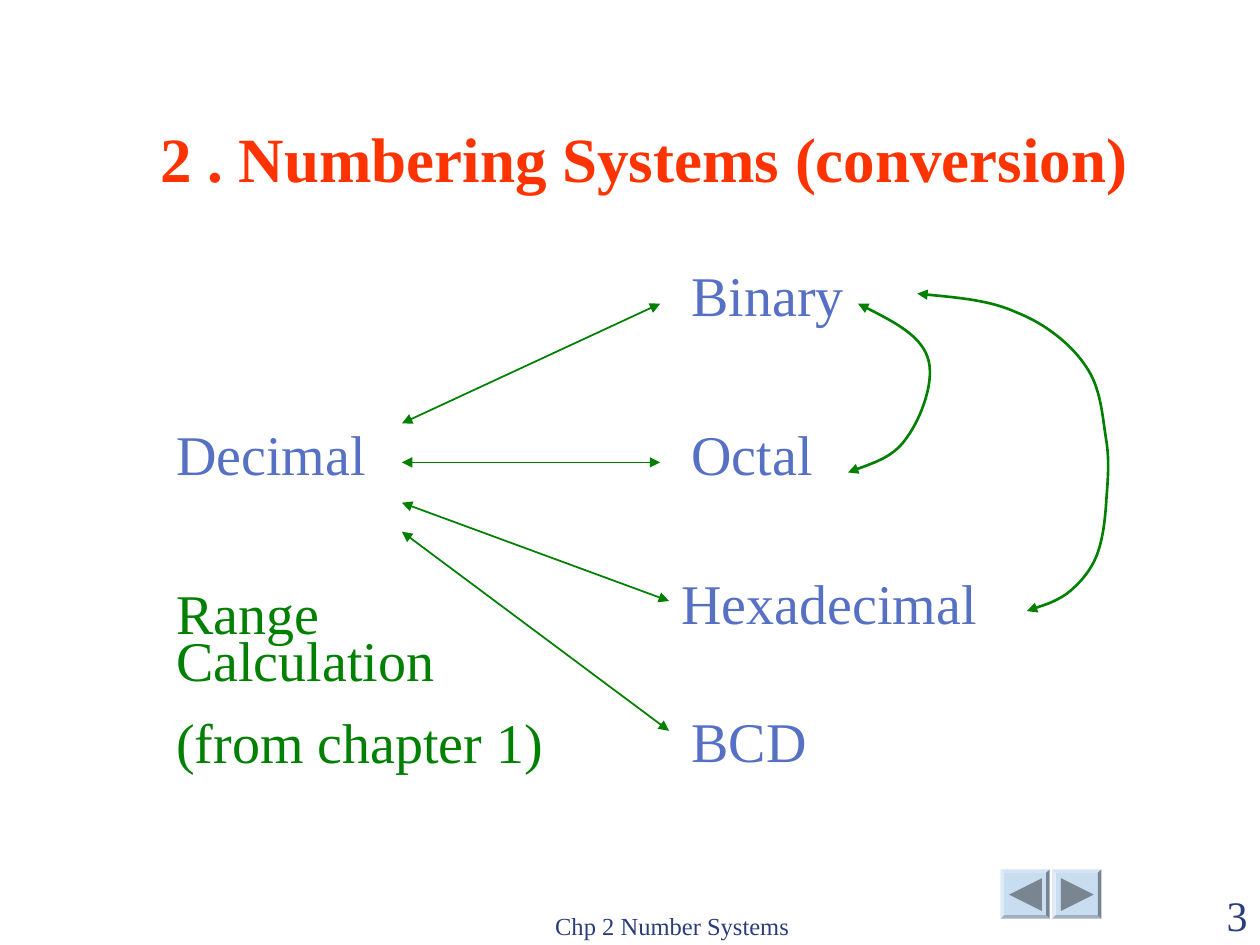
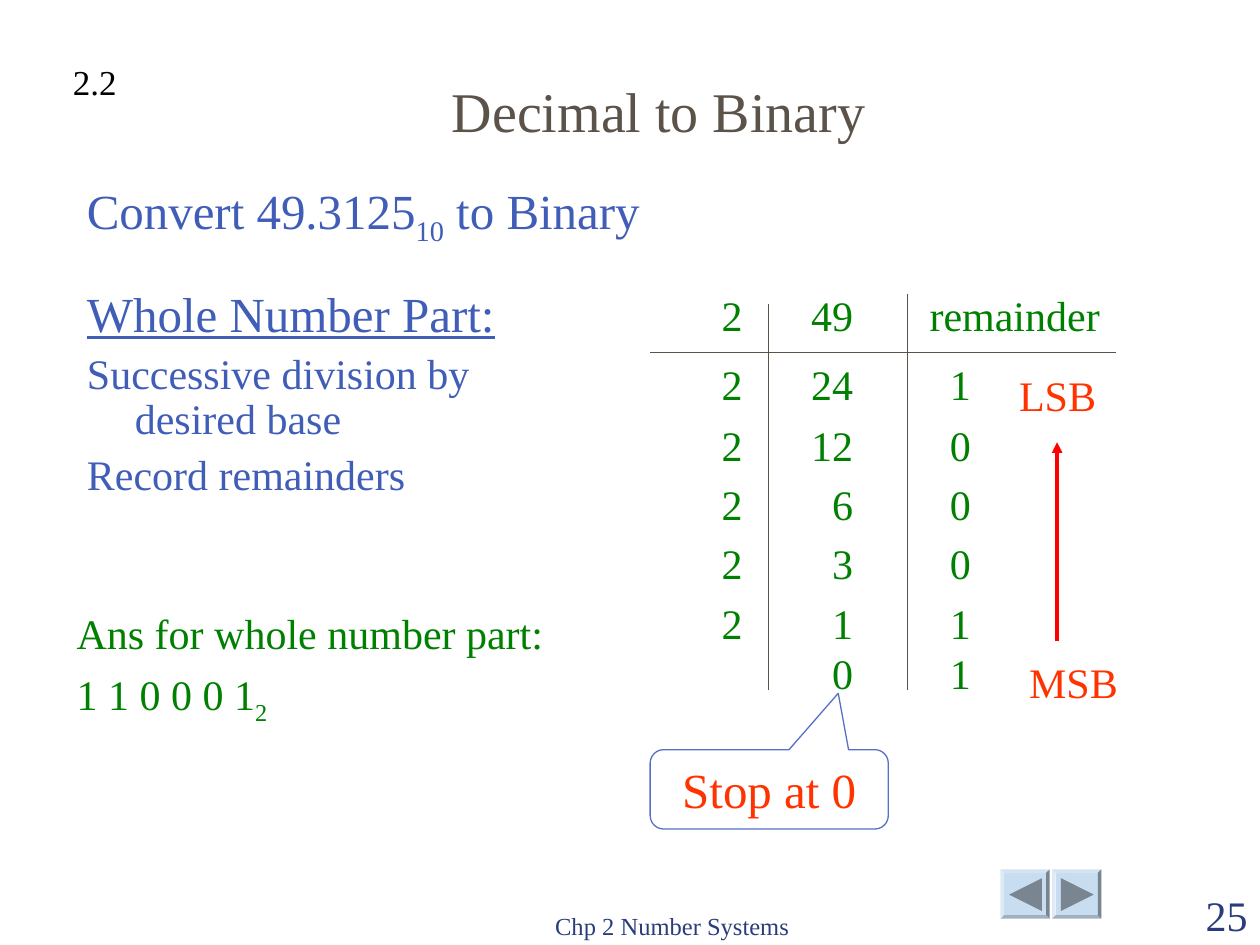
from lxml import etree
from pptx import Presentation
from pptx.dml.color import RGBColor
from pptx.enum.shapes import MSO_CONNECTOR, MSO_SHAPE
from pptx.enum.text import MSO_ANCHOR, MSO_AUTO_SIZE, PP_ALIGN
from pptx.oxml.ns import qn
from pptx.util import Inches, Pt

LEFT, CENTER, RIGHT = PP_ALIGN.LEFT, PP_ALIGN.CENTER, PP_ALIGN.RIGHT
TOP, BOTTOM = MSO_ANCHOR.TOP, MSO_ANCHOR.BOTTOM
STRAIGHT = MSO_CONNECTOR.STRAIGHT

FONT = "Times New Roman"
ORANGE = RGBColor(0xFF, 0x33, 0x00)
RED = RGBColor(0xFF, 0x00, 0x00)
GREEN = RGBColor(0x00, 0x80, 0x00)
BLUE = RGBColor(0x56, 0x70, 0xC4)
DEEP_BLUE = RGBColor(0x40, 0x5D, 0xB8)
NAVY = RGBColor(0x2A, 0x3D, 0x7A)
BROWN = RGBColor(0x5B, 0x52, 0x49)
BLACK = RGBColor(0x00, 0x00, 0x00)
BUTTON = RGBColor(0xC9, 0xDD, 0xF1)
BUTTON_ICON = RGBColor(0x79, 0x85, 0x91)

# Shared content: footer and navigation buttons (left edge, icon rotation)
FOOTER = "Chp 2 Number Systems"
BUTTONS = [(7.94, 270), (8.35, 90)]
BUTTON_TOP, BUTTON_SIZE, ICON_INSET, ICON_SIZE = 6.9, 0.39, 0.07, 0.26

# Slide 1 content: systems, two-way arrows and curves (start, then control points)
SYSTEMS = [
    ("Decimal", (1.3, 3.28, 1.73, 0.64)),
    ("Binary", (5.39, 2.02, 1.73, 0.64)),
    ("Octal", (5.39, 3.28, 1.42, 0.64)),
    ("Hexadecimal", (5.31, 4.46, 2.68, 0.64)),
    ("BCD", (5.39, 5.56, 1.26, 0.64)),
]
RANGE_NOTE = ["Range Calculation", "(from chapter 1)"]
CONVERSIONS = [
    ((3.19, 3.36), (5.24, 2.41)),
    ((3.19, 3.67), (5.24, 3.67)),
    ((3.19, 3.99), (5.31, 4.77)),
    ((3.19, 4.22), (5.31, 5.8)),
]
BINARY_OCTAL = [
    (6.81, 2.41), (7.05, 2.53), (7.3, 2.66), (7.36, 2.83), (7.43, 3.01),
    (7.31, 3.32), (7.2, 3.47), (7.1, 3.62), (6.92, 3.68), (6.73, 3.75),
]
BINARY_HEX = [
    (7.28, 2.33), (7.56, 2.36), (7.85, 2.38), (8.07, 2.48), (8.3, 2.57),
    (8.51, 2.74), (8.62, 2.91), (8.74, 3.08), (8.75, 3.31), (8.78, 3.49),
    (8.81, 3.67), (8.79, 3.83), (8.78, 3.99), (8.77, 4.14), (8.75, 4.3),
    (8.7, 4.42), (8.65, 4.54), (8.56, 4.64), (8.47, 4.71), (8.37, 4.78),
    (8.2, 4.83), (8.15, 4.85),
]

# Slide 2 content: paragraphs are a string or (text, subscript?) runs
STEPS = [
    ("Whole Number Part:", {"size": Pt(28), "underline": True}),
    ("Successive division by desired base", {"size": Pt(24)}),
    ("Record remainders", {"size": Pt(24)}),
]
TASK = [[("Convert 49.3125", False), ("10", True), (" to Binary", False)]]
ANSWER = ["Ans for whole number part:", [("1 1 0 0 0 1", False), ("2", True)]]
DIVISION = [  # top, divisor, quotient, remainder
    (2.25, "2", "49", ""),
    (2.8, "2", "24", "1"),
    (3.28, "2", "12", "0"),
    (3.75, "2", "6", "0"),
    (4.22, "2", "3", "0"),
    (4.69, "2", "1", "1"),
    (5.09, "", "0", "1"),
]
COLUMNS = [(5.63, 0.36, LEFT), (6.24, 0.63, RIGHT), (7.44, 0.36, LEFT)]
RULES = [
    ((5.16, 2.8), (8.86, 2.8)),
    ((6.1, 2.41), (6.1, 5.48)),
    ((7.2, 2.33), (7.2, 5.48)),
]


def inches(values):
    return [Inches(v) for v in values]


def put(obj, **values):
    for name, value in values.items():
        setattr(obj, name, value)


def style(font, size, color, **more):
    put(font, name=FONT, size=Pt(size), **more)
    font.color.rgb = color


def place(sp, box):
    put(sp, **dict(zip(("left", "top", "width", "height"), inches(box))))


def write(tf, paragraphs, size, color, align=LEFT, before=0, spacing=None):
    for i, runs in enumerate(paragraphs):
        p = tf.add_paragraph() if i else tf.paragraphs[0]
        put(p, alignment=align, line_spacing=spacing)
        if i:
            p.space_before = Pt(before)
        for text, subscript in [(runs, False)] if isinstance(runs, str) else runs:
            r = p.add_run()
            r.text = text
            style(r.font, size, color)
            if subscript:
                r.font._element.set("baseline", "-25000")


def add_text(s, box, paragraphs, size, color, anchor=TOP, wrap=True, **layout):
    tf = s.shapes.add_textbox(*inches(box)).text_frame
    put(tf, word_wrap=wrap, vertical_anchor=anchor)
    write(tf, paragraphs, size, color, **layout)


def add_ends(line, head, tail):
    ln = line._get_or_add_ln()
    for tag, shown in (("a:headEnd", head), ("a:tailEnd", tail)):
        if shown:
            etree.SubElement(ln, qn(tag)).set("type", "triangle")


def add_line(s, start, end, color, width, head=False, tail=False):
    cn = s.shapes.add_connector(STRAIGHT, *inches(start + end))
    cn.line.color.rgb = color
    cn.line.width = Pt(width)
    add_ends(cn.line, head, tail)
    etree.SubElement(cn._element.spPr, qn("a:effectLst"))


def add_curve(s, points):
    start, *rest = [inches(pt) for pt in points]
    fb = s.shapes.build_freeform(*start)
    fb.add_line_segments(rest, close=False)
    sp = fb.convert_to_shape()
    sp.shadow.inherit = False
    sp.fill.background()
    sp.line.color.rgb = GREEN
    sp.line.width = Pt(1.5)
    add_ends(sp.line, True, True)
    # Each three segments become one cubic curve
    outline = sp._element.spPr.find(".//" + qn("a:path"))
    segments = outline.findall(qn("a:lnTo"))
    for i in range(0, len(segments), 3):
        cubic = etree.SubElement(outline, qn("a:cubicBezTo"))
        for segment in segments[i:i + 3]:
            cubic.append(segment[0])
            outline.remove(segment)


def add_solid(s, kind, box, color):
    sp = s.shapes.add_shape(kind, *inches(box))
    sp.shadow.inherit = False
    sp.fill.solid()
    sp.fill.fore_color.rgb = color
    sp.line.fill.background()
    return sp


def add_slide(prs, layout, number, title, box, size, color, **title_format):
    s = prs.slides.add_slide(prs.slide_layouts[layout])
    for left, rotation in BUTTONS:
        bevel = add_solid(s, MSO_SHAPE.BEVEL,
                          (left, BUTTON_TOP, BUTTON_SIZE, BUTTON_SIZE), BUTTON)
        bevel.adjustments[0] = 0.07
        icon = add_solid(s, MSO_SHAPE.ISOSCELES_TRIANGLE,
                         (left + ICON_INSET, BUTTON_TOP + ICON_INSET,
                          ICON_SIZE, ICON_SIZE), BUTTON_ICON)
        icon.rotation = rotation
    add_text(s, (3.75, 7.01, 3.17, 0.5), [FOOTER], 14, NAVY, BOTTOM, align=CENTER)
    add_text(s, (9, 7.01, 1, 0.5), [number], 24, NAVY, BOTTOM, align=RIGHT)

    place(s.shapes.title, box)
    tf = s.shapes.title.text_frame
    put(tf, vertical_anchor=BOTTOM, auto_size=MSO_AUTO_SIZE.NONE)
    align = title_format.pop("align", LEFT)
    put(tf, **{k: title_format.pop(k) for k in ("margin_bottom",) if k in title_format})
    write(tf, [title], size, color, align)
    put(tf.paragraphs[0].runs[0].font, **title_format)
    return s


def build_conversion(prs):
    s = add_slide(prs, 5, "3", "2 . Numbering Systems (conversion)",
                  (1.17, 0.92, 8.5, 1.25), 36, ORANGE,
                  bold=True, margin_bottom=Inches(0.62))
    for name, box in SYSTEMS:
        add_text(s, box, [name], 32, BLUE)
    for start, end in CONVERSIONS:
        add_line(s, start, end, GREEN, 1, head=True, tail=True)
    for curve in (BINARY_OCTAL, BINARY_HEX):
        add_curve(s, curve)
    add_text(s, (1.3, 4.69, 3.15, 1.5), RANGE_NOTE, 32, GREEN,
             before=20, spacing=0.7)


def build_division(prs):
    s = add_slide(prs, 1, "25", "Decimal to Binary",
                  (0.98, 0.52, 8.5, 0.67), 32, BROWN, align=CENTER)

    # Method steps in the body placeholder, with hanging indents
    body = s.placeholders[1]
    place(body, (0.59, 2.25, 4.17, 1.89))
    tf = body.text_frame
    tf.auto_size = MSO_AUTO_SIZE.NONE
    write(tf, [text for text, _ in STEPS], 24, DEEP_BLUE, before=6, spacing=0.9)
    tf.paragraphs[0].space_before = Pt(0)
    for p, (_, font_format) in zip(tf.paragraphs, STEPS):
        pPr = p._p.get_or_add_pPr()
        pPr.set("marL", str(Inches(0.38)))
        pPr.set("indent", str(-Inches(0.38)))
        etree.SubElement(pPr, qn("a:buNone"))
        put(p.runs[0].font, **font_format)

    add_text(s, (0.48, 0.43, 0.55, 0.44), ["2.2"], 20, BLACK, wrap=False)
    add_text(s, (0.59, 1.39, 5.51, 0.67), TASK, 28, DEEP_BLUE, spacing=0.9)
    add_text(s, (0.51, 4.82, 3.9, 0.96), ANSWER, 24, GREEN, wrap=False,
             before=6, spacing=0.9)

    # Division ladder
    for start, end in RULES:
        add_line(s, start, end, BROWN, 0.75)
    for top, *cells in DIVISION:
        for text, (left, width, align) in zip(cells, COLUMNS):
            if text:
                add_text(s, (left, top, width, 0.5), [text], 24, GREEN,
                         wrap=align == RIGHT, align=align)
    add_text(s, (7.28, 2.25, 1.55, 0.5), ["remainder"], 24, GREEN, wrap=False)

    # Reading order of the remainders
    add_text(s, (7.99, 2.88, 0.87, 0.5), ["LSB"], 24, ORANGE)
    add_text(s, (8.07, 5.16, 1.1, 0.5), ["MSB"], 24, ORANGE)
    add_line(s, (8.39, 5.09), (8.39, 3.51), RED, 2, tail=True)

    # Callout
    sp = s.shapes.add_shape(MSO_SHAPE.ROUNDED_RECTANGULAR_CALLOUT,
                            *inches((5.16, 5.95, 1.89, 0.63)))
    sp.shadow.inherit = False
    sp.fill.background()
    sp.line.color.rgb = BLUE
    sp.line.width = Pt(0.75)
    for i, value in enumerate((0.29, -1.21, 0.17)):
        sp.adjustments[i] = value
    sp.text_frame.vertical_anchor = TOP
    write(sp.text_frame, ["Stop at 0"], 28, ORANGE, CENTER)


def main():
    prs = Presentation()
    prs.slide_width, prs.slide_height = inches((10, 7.5))
    build_conversion(prs)
    build_division(prs)
    prs.save("out.pptx")


if __name__ == "__main__":
    main()
